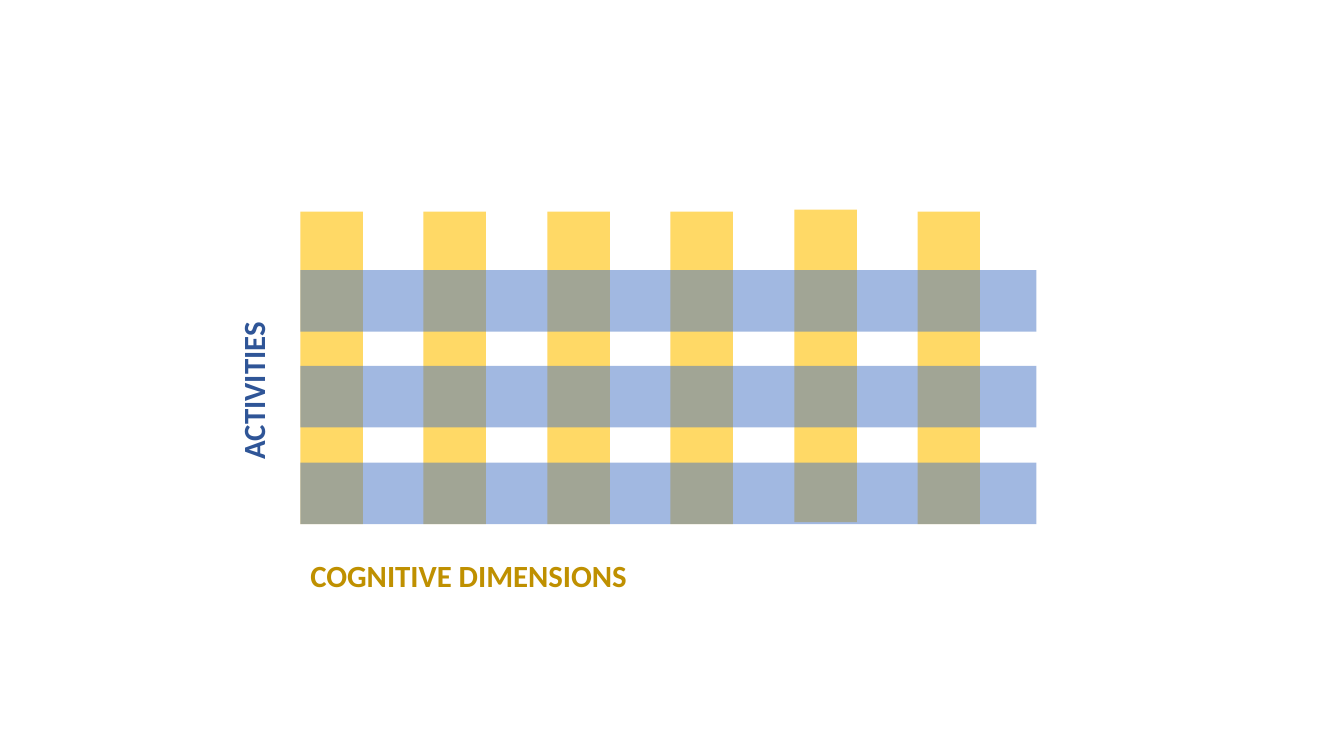
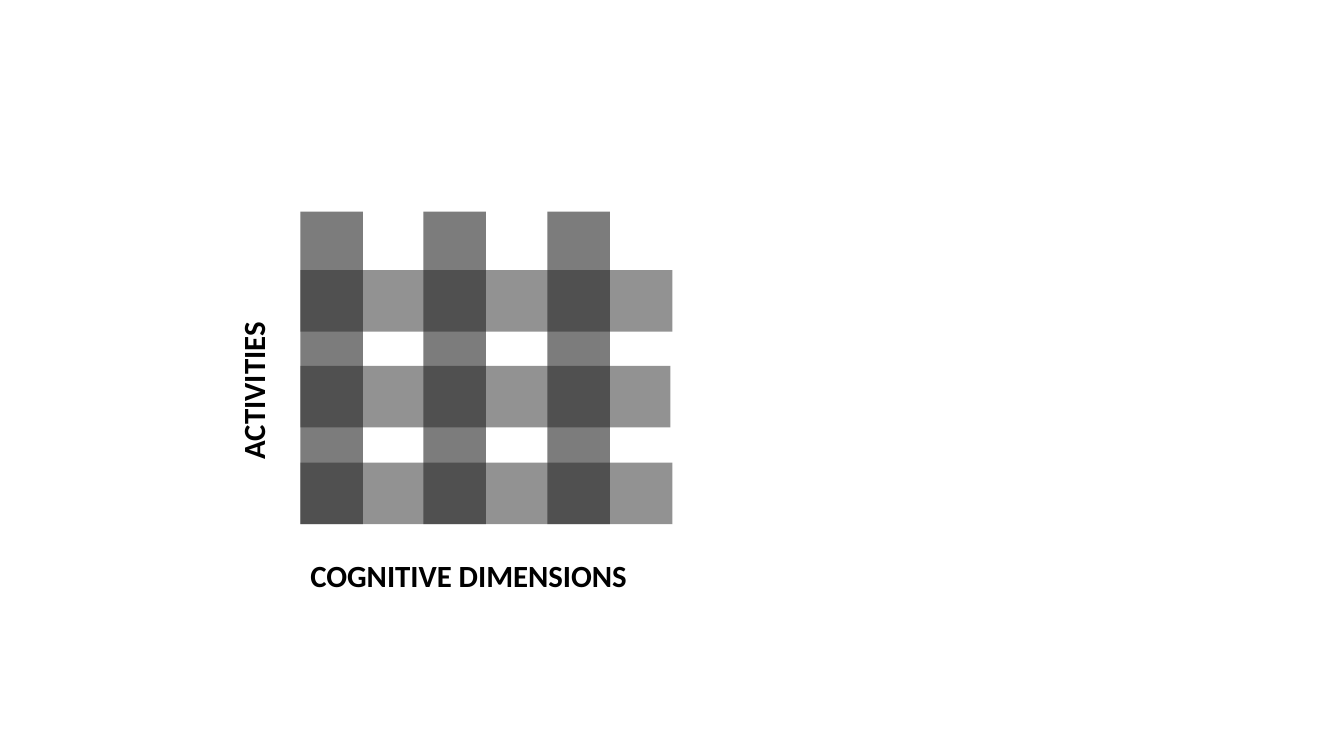
"""Build two slides that cross activity bands with cognitive dimension columns."""
import dataclasses
from typing import Any

import lxml.etree
import pptx
import pptx.dml.color
import pptx.enum.shapes
import pptx.enum.text
import pptx.oxml.ns
import pptx.util

PX = 9144
SLIDE_W, SLIDE_H = 1333, 750
LEFT = 298
COL_TOP, COL_W, COL_H, COL_PITCH = 210, 62, 310, 122.4
ROW_TOP, ROW_H, ROW_PITCH = 268, 61, 95.5
COL_ALPHA, ROW_ALPHA = 60, 50

COLORS = {
    "gold": "FFC000",
    "blue": "4472C4",
    "dark_gold": "BF9000",
    "dark_blue": "2F5597",
    "charcoal": "262626",
    "black": "000000",
}
LABEL_FONT = {"name": "Calibri", "size": pptx.util.Pt(22), "bold": True}
LABEL_FRAME = {
    "word_wrap": True,
    "auto_size": pptx.enum.text.MSO_AUTO_SIZE.SHAPE_TO_FIT_TEXT,
}


@dataclasses.dataclass(frozen=True)
class Box:
    x: int
    y: int
    w: int
    h: int

    def emu(self) -> list[pptx.util.Emu]:
        return [pptx.util.Emu(v * PX) for v in dataclasses.astuple(self)]


@dataclasses.dataclass(frozen=True)
class Label:
    text: str
    box: Box
    rotation: int = 0


@dataclasses.dataclass(frozen=True)
class Weave:
    col_lifts: tuple[int, ...]
    row_widths: tuple[int, ...]
    col_color: str
    row_color: str
    label_colors: tuple[str, str]


LABELS = (
    Label("COGNITIVE DIMENSIONS", Box(LEFT, 547, 730, 47)),
    Label("ACTIVITIES", Box(149, 340, 204, 47), 270),
)
WEAVES = (
    Weave((0, 0, 0, 0, 2, 0), (730, 730, 730), "gold", "blue", ("dark_gold", "dark_blue")),
    Weave((0, 0, 0), (369, 367, 369), "charcoal", "charcoal", ("black", "black")),
)


def apply_format(target: Any, values: dict[str, Any]) -> None:
    for name, value in values.items():
        setattr(target, name, value)


def rgb(color: str) -> pptx.dml.color.RGBColor:
    return pptx.dml.color.RGBColor.from_string(COLORS[color])


def add_band(s: Any, box: Box, color: str, alpha: int) -> None:
    sp = s.shapes.add_shape(pptx.enum.shapes.MSO_SHAPE.RECTANGLE, *box.emu())
    sp.shadow.inherit = False
    sp.line.fill.background()
    sp.fill.solid()
    sp.fill.fore_color.rgb = rgb(color)
    qn = pptx.oxml.ns.qn
    clr = sp.element.spPr.find(qn("a:solidFill")).find(qn("a:srgbClr"))
    lxml.etree.SubElement(clr, qn("a:alpha"), val=str(alpha * 1000))


def add_label(s: Any, label: Label, color: str) -> None:
    sp = s.shapes.add_textbox(*label.box.emu())
    sp.rotation = label.rotation
    tf = sp.text_frame
    apply_format(tf, LABEL_FRAME)
    r = tf.paragraphs[0].add_run()
    r.text = label.text
    apply_format(r.font, LABEL_FONT)
    r.font.color.rgb = rgb(color)


def add_weave(s: Any, weave: Weave) -> None:
    for i, lift in enumerate(weave.col_lifts):
        box = Box(LEFT + round(i * COL_PITCH), COL_TOP - lift, COL_W, COL_H)
        add_band(s, box, weave.col_color, COL_ALPHA)
    for i, width in enumerate(weave.row_widths):
        box = Box(LEFT, ROW_TOP + int(i * ROW_PITCH), width, ROW_H)
        add_band(s, box, weave.row_color, ROW_ALPHA)
    for label, color in zip(LABELS, weave.label_colors):
        add_label(s, label, color)


def main() -> None:
    prs = pptx.Presentation()
    apply_format(prs, {"slide_width": SLIDE_W * PX, "slide_height": SLIDE_H * PX})
    for weave in WEAVES:
        add_weave(prs.slides.add_slide(prs.slide_layouts[6]), weave)
    prs.save("out.pptx")


if __name__ == "__main__":
    main()
